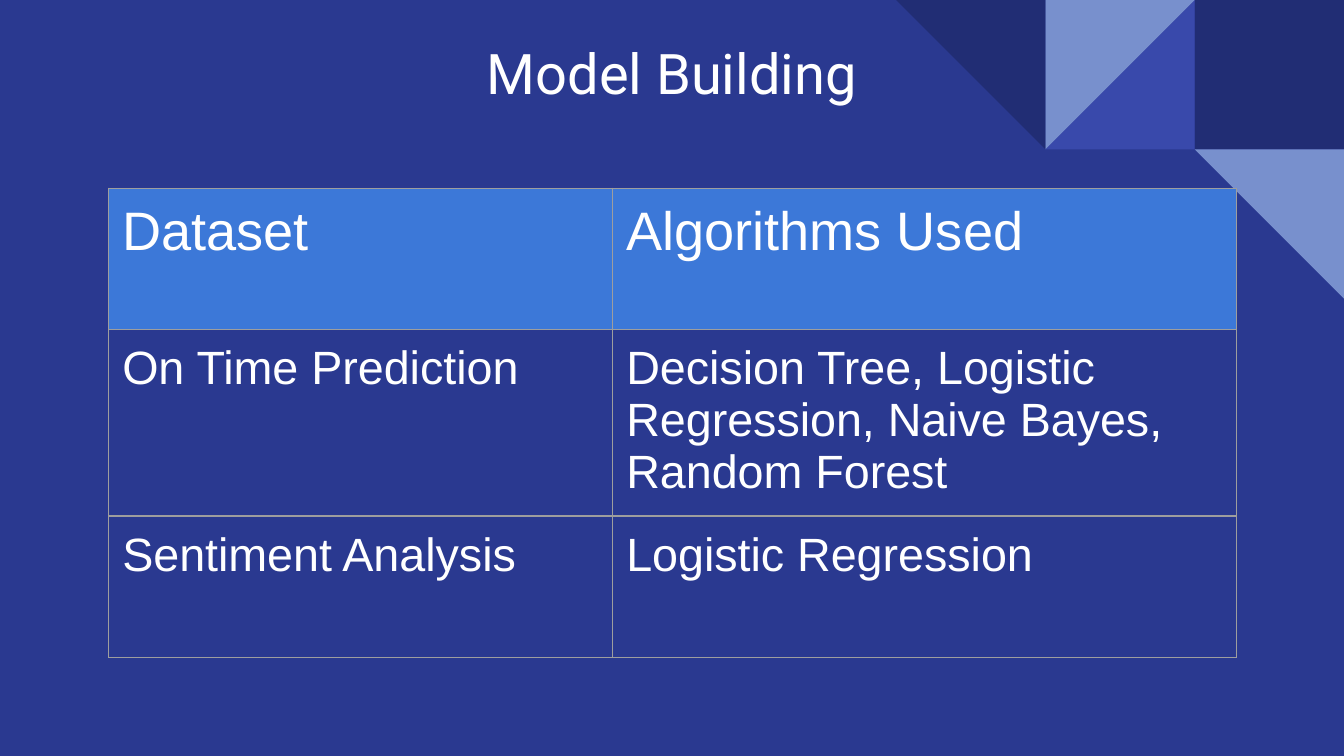
from lxml import etree
from pptx import Presentation
from pptx.dml.color import RGBColor
from pptx.enum.shapes import MSO_SHAPE
from pptx.enum.text import MSO_ANCHOR, MSO_AUTO_SIZE, PP_ALIGN
from pptx.oxml.ns import qn
from pptx.util import Inches, Pt

SQUARE = MSO_SHAPE.RECTANGLE
TRIANGLE = MSO_SHAPE.RIGHT_TRIANGLE
LEFT, CENTER = PP_ALIGN.LEFT, PP_ALIGN.CENTER
MIDDLE, TOP = MSO_ANCHOR.MIDDLE, MSO_ANCHOR.TOP
NO_AUTOFIT = MSO_AUTO_SIZE.NONE

WIDTH = 10
HEIGHT = WIDTH * 9 / 16
TILE = WIDTH / 9
PADDING = Inches(0.1)
COLORS = {
    "background": "2A3990",
    "navy": "212D74",
    "indigo": "3949AB",
    "periwinkle": "7890CD",
    "header": "3C78D8",
    "border": "9E9E9E",
    "text": "FFFFFF",
}

MOSAIC = [
    (SQUARE, 8, 0, 0, "navy"),
    (TRIANGLE, 7, 0, 270, "indigo"),
    (TRIANGLE, 7, 0, 90, "periwinkle"),
    (TRIANGLE, 6, 0, 180, "navy"),
    (TRIANGLE, 8, 1, 180, "periwinkle"),
]
MODELS = [
    ("Dataset", "Algorithms Used"),
    ("On Time Prediction",
     "Decision Tree, Logistic Regression, Naive Bayes, Random Forest"),
    ("Sentiment Analysis", "Logistic Regression"),
]


def write(frame, text, size, font="Arial", color="text", align=LEFT):
    paragraph = frame.paragraphs[0]
    paragraph.alignment = align
    run = paragraph.add_run()
    run.text = text
    run.font.size = Pt(size)
    run.font.name = font
    run.font.color.rgb = RGBColor.from_string(COLORS[color])


class Deck:
    def __init__(self):
        self.presentation = Presentation()
        self.presentation.slide_width = Inches(WIDTH)
        self.presentation.slide_height = Inches(HEIGHT)
        layout = self.presentation.slide_layouts.get_by_name("Title Only")
        self.slide = self.presentation.slides.add_slide(layout)
        self.fill(self.slide.background, "background")

    def fill(self, target, color):
        target.fill.solid()
        target.fill.fore_color.rgb = RGBColor.from_string(COLORS[color])

    def pad(self, target):
        target.margin_left = target.margin_right = PADDING
        target.margin_top = target.margin_bottom = PADDING

    def title(self, text, left, top, width, height):
        heading = self.slide.shapes.title
        heading.left, heading.width = Inches(left * WIDTH), Inches(width * WIDTH)
        heading.top, heading.height = Inches(top * HEIGHT), Inches(height * HEIGHT)
        frame = heading.text_frame
        frame.word_wrap = True
        frame.auto_size = NO_AUTOFIT
        frame.vertical_anchor = MIDDLE
        self.pad(frame)
        write(frame, text, 30, font="Roboto", align=CENTER)

    def tile(self, kind, column, row, rotation, color):
        side = Inches(TILE)
        tile = self.slide.shapes.add_shape(
            kind, Inches(column * TILE), Inches(row * TILE), side, side)
        tile.rotation = rotation
        tile.shadow.inherit = False
        tile.line.fill.background()
        self.fill(tile, color)

    def border(self, cell):
        properties = cell._tc.get_or_add_tcPr()
        for position, edge in enumerate(("a:lnL", "a:lnR", "a:lnT", "a:lnB")):
            line = etree.Element(qn(edge), w=str(Pt(0.75)))
            solid = etree.SubElement(line, qn("a:solidFill"))
            etree.SubElement(solid, qn("a:srgbClr"), val=COLORS["border"])
            properties.insert(position, line)

    def table(self, rows, left, top, widths, heights):
        table = self.slide.shapes.add_table(
            len(rows), len(widths), Inches(left * WIDTH), Inches(top * HEIGHT),
            Inches(sum(widths) * WIDTH), Inches(sum(heights) * HEIGHT)).table
        table.first_row = table.horz_banding = False
        for column, width in zip(table.columns, widths):
            column.width = Inches(width * WIDTH)
        for number, (row, height) in enumerate(zip(rows, heights)):
            table.rows[number].height = Inches(height * HEIGHT)
            for column, text in enumerate(row):
                cell = table.cell(number, column)
                cell.vertical_anchor = TOP
                self.pad(cell)
                if number == 0:
                    self.fill(cell, "header")
                else:
                    cell.fill.background()
                self.border(cell)
                write(cell.text_frame, text, 29 if number == 0 else 25)


def main():
    deck = Deck()
    for piece in MOSAIC:
        deck.tile(*piece)
    deck.table(MODELS, 0.81 / WIDTH, 1.4 / HEIGHT,
               (3.75 / WIDTH, 4.64 / WIDTH),
               (1.05 / HEIGHT, 1.39 / HEIGHT, 1.05 / HEIGHT))
    deck.title("Model Building", 1.51 / WIDTH, 0.2 / HEIGHT,
               6.98 / WIDTH, 0.67 / HEIGHT)
    deck.presentation.save("out.pptx")


if __name__ == "__main__":
    main()
